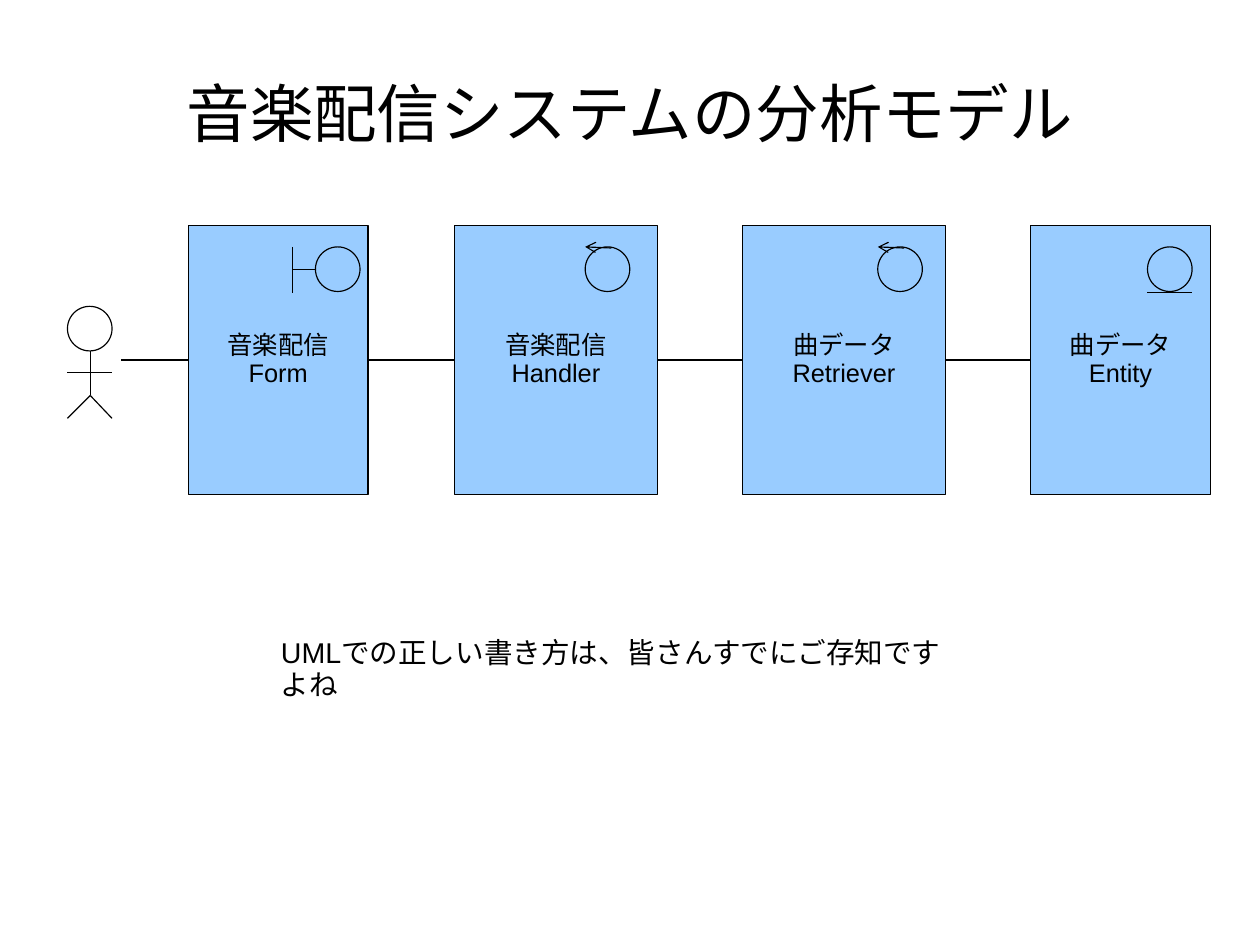
from dataclasses import dataclass

from lxml import etree
from pptx import Presentation
from pptx.dml.color import RGBColor
from pptx.enum.shapes import MSO_CONNECTOR, MSO_SHAPE
from pptx.enum.text import MSO_ANCHOR, MSO_AUTO_SIZE, PP_ALIGN
from pptx.oxml.ns import qn
from pptx.shapes.autoshape import Shape
from pptx.shapes.connector import Connector
from pptx.shapes.shapetree import GroupShapes, SlideShapes
from pptx.text.text import TextFrame
from pptx.util import Emu, Inches, Pt

STRAIGHT = MSO_CONNECTOR.STRAIGHT
RECTANGLE = MSO_SHAPE.RECTANGLE
OVAL = MSO_SHAPE.OVAL
MIDDLE = MSO_ANCHOR.MIDDLE
TOP = MSO_ANCHOR.TOP
CENTER = PP_ALIGN.CENTER
LEFT = PP_ALIGN.LEFT
FIT_SHAPE = MSO_AUTO_SIZE.SHAPE_TO_FIT_TEXT

SLIDE_WIDTH = Emu(10080625)
SLIDE_HEIGHT = Emu(7559675)
FONT = "Arial"
BLACK = "000000"
BOX_BLUE = "99CCFF"
LINE_WIDTH = 0.75
BOX_TOP = 1.97
BOX_HEIGHT = 2.36
ICON_TOP = 2.16
CIRCLE_SIZE = 0.39
LEFT_SIDE, RIGHT_SIDE = 1, 3


@dataclass(frozen=True)
class Segment:
    x1: float
    y1: float
    x2: float
    y2: float
    arrow: bool = False


@dataclass(frozen=True)
class AnalysisClass:
    label: str
    left: float
    width: float
    icon_left: float
    icon_segments: tuple[Segment, ...]


ACTOR = (
    Segment(0.2, 0.39, 0.2, 0.78),
    Segment(0, 0.58, 0.39, 0.58),
    Segment(0.2, 0.78, 0, 0.98),
    Segment(0.39, 0.98, 0.2, 0.78),
)
BOUNDARY = (Segment(-0.2, 0, -0.2, 0.4), Segment(0, 0.2, -0.2, 0.2))
CONTROL = (Segment(0, 0, 0.23, 0.01, arrow=True),)
ENTITY = (Segment(0, 0.4, 0.39, 0.4),)

ANALYSIS_CLASSES = (
    AnalysisClass("音楽配信Form", 1.65, 1.57, 2.76, BOUNDARY),
    AnalysisClass("音楽配信Handler", 3.98, 1.77, 5.12, CONTROL),
    AnalysisClass("曲データRetriever", 6.5, 1.77, 7.68, CONTROL),
    AnalysisClass("曲データEntity", 9.02, 1.57, 10.04, ENTITY),
)


def color(value: str) -> RGBColor:
    return RGBColor.from_string(value)


def write_text(frame: TextFrame, text: str, size: float, alignment: PP_ALIGN,
               anchor: MSO_ANCHOR, wrap: bool = True,
               margins: tuple[float, float] = (0.1, 0.05)) -> None:
    frame.word_wrap = wrap
    frame.vertical_anchor = anchor
    frame.margin_left = frame.margin_right = Inches(margins[0])
    frame.margin_top = frame.margin_bottom = Inches(margins[1])
    paragraph = frame.paragraphs[0]
    paragraph.alignment = alignment
    paragraph.line_spacing = 0.93
    run = paragraph.add_run()
    run.text = text
    run.font.name = FONT
    run.font.size = Pt(size)
    run.font.color.rgb = color(BLACK)


def style_line(shape: Shape | Connector) -> None:
    shape.line.color.rgb = color(BLACK)
    shape.line.width = Pt(LINE_WIDTH)


def add_line(shapes: SlideShapes | GroupShapes, x1: float, y1: float,
             x2: float, y2: float, arrow: bool = False) -> Connector:
    connector = shapes.add_connector(
        STRAIGHT, Inches(x1), Inches(y1), Inches(x2), Inches(y2))
    style_line(connector)
    if arrow:
        line = connector.line._get_or_add_ln()
        etree.SubElement(line, qn("a:headEnd"), type="arrow")
    etree.SubElement(connector._element.spPr, qn("a:effectLst"))
    return connector


def add_icon(shapes: SlideShapes, left: float, top: float,
             segments: tuple[Segment, ...]) -> None:
    group = shapes.add_group_shape()
    circle = group.shapes.add_shape(
        OVAL, Inches(left), Inches(top), Inches(CIRCLE_SIZE), Inches(CIRCLE_SIZE))
    circle.shadow.inherit = False
    circle.fill.background()
    style_line(circle)
    for segment in segments:
        add_line(group.shapes, left + segment.x1, top + segment.y1,
                 left + segment.x2, top + segment.y2, segment.arrow)


def add_class_box(shapes: SlideShapes, item: AnalysisClass) -> Shape:
    box = shapes.add_shape(RECTANGLE, Inches(item.left), Inches(BOX_TOP),
                           Inches(item.width), Inches(BOX_HEIGHT))
    box.shadow.inherit = False
    box.fill.solid()
    box.fill.fore_color.rgb = color(BOX_BLUE)
    style_line(box)
    write_text(box.text_frame, item.label, 16, CENTER, MIDDLE)
    return box


def main() -> None:
    presentation = Presentation()
    presentation.slide_width = SLIDE_WIDTH
    presentation.slide_height = SLIDE_HEIGHT
    slide = presentation.slides.add_slide(presentation.slide_layouts[5])
    shapes = slide.shapes

    title = shapes.title
    title.left, title.top = Inches(0.55), Inches(0.38)
    title.width, title.height = Inches(9.92), Inches(1.28)
    write_text(title.text_frame, "音楽配信システムの分析モデル", 40, CENTER, MIDDLE,
               margins=(0, 0))

    add_icon(shapes, 0.59, 2.68, ACTOR)
    boxes = [add_class_box(shapes, item) for item in ANALYSIS_CLASSES]
    for item in ANALYSIS_CLASSES:
        add_icon(shapes, item.icon_left, ICON_TOP, item.icon_segments)

    middle = BOX_TOP + BOX_HEIGHT / 2
    actor_link = add_line(shapes, 1.06, middle, ANALYSIS_CLASSES[0].left, middle)
    actor_link.end_connect(boxes[0], LEFT_SIDE)
    for source, target in zip(boxes, boxes[1:]):
        link = add_line(shapes, 0, middle, 1, middle)
        link.begin_connect(source, RIGHT_SIDE)
        link.end_connect(target, LEFT_SIDE)

    caption = shapes.add_textbox(Inches(2.36), Inches(5.53), Inches(6.04), Inches(0.38))
    write_text(caption.text_frame, "UMLでの正しい書き方は、皆さんすでにご存知ですよね",
               18, LEFT, TOP, wrap=False)
    caption.text_frame.auto_size = FIT_SHAPE

    presentation.save("out.pptx")


if __name__ == "__main__":
    main()
